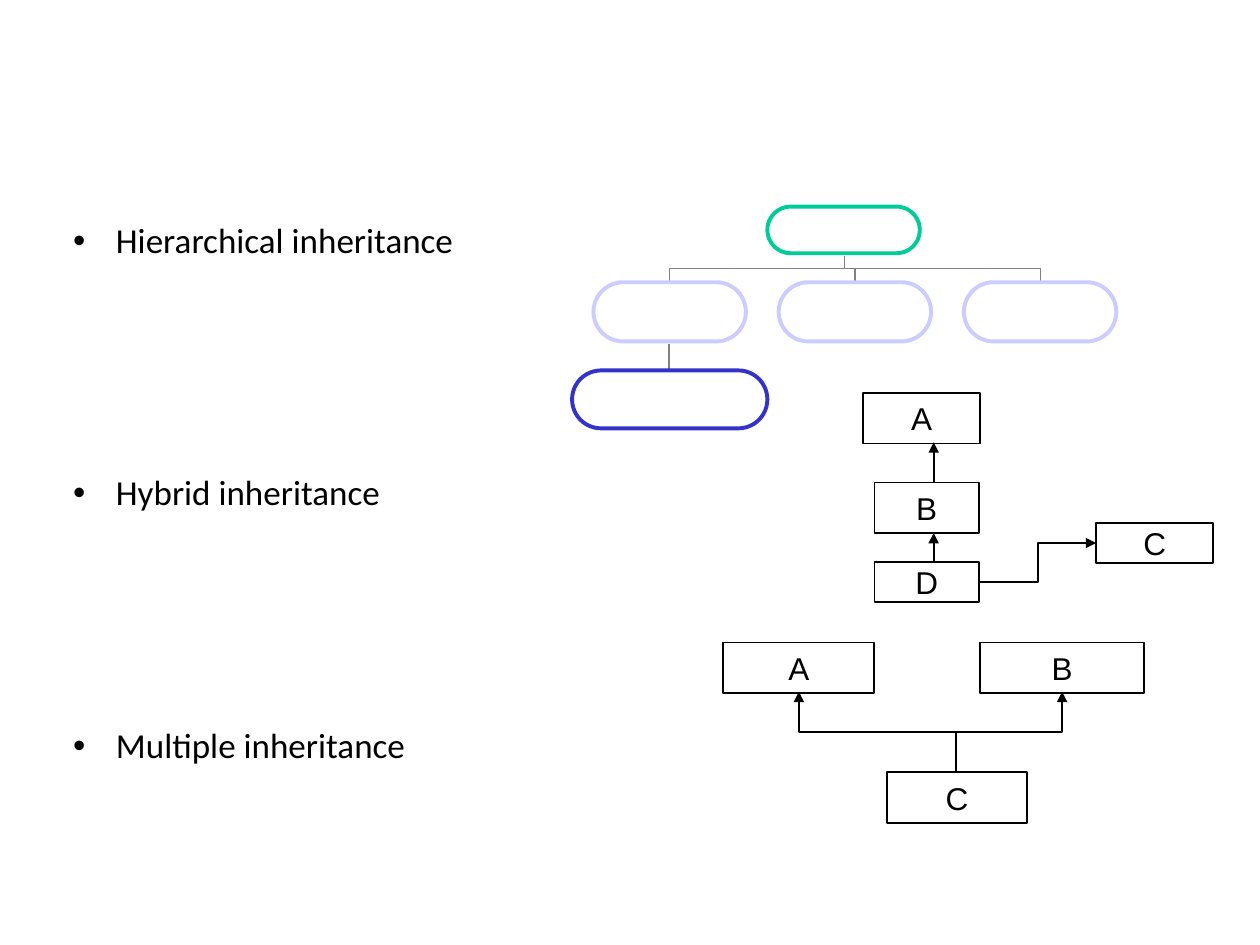
from dataclasses import dataclass

from lxml.etree import SubElement
from pptx import Presentation
from pptx.dml.color import RGBColor
from pptx.enum.shapes import MSO_CONNECTOR, MSO_SHAPE
from pptx.enum.text import MSO_ANCHOR, PP_ALIGN
from pptx.oxml.ns import qn
from pptx.util import Inches, Pt

COLORS = {
    "black": "000000", "white": "FFFFFF", "gray": "808080",
    "green": "00CC99", "lilac": "CCCCFF", "blue": "3333CC",
}


@dataclass
class Box:
    left: float
    top: float
    width: float
    height: float
    label: str = ""
    line: str = "black"


@dataclass
class Link:
    x1: float
    y1: float
    x2: float
    y2: float
    kind: str = "straight"  # straight, side (leaves sideways) or rise (leaves upward)
    color: str = "black"
    weight: float = 1
    arrow: bool = True


def paint(name: str) -> RGBColor:
    return RGBColor.from_string(COLORS[name])


def write(para, text: str, *, font: str, size: float, color: str = "black",
          align=PP_ALIGN.LEFT) -> None:
    para.alignment = align
    run = para.add_run()
    run.text = text
    run.font.name = font
    run.font.size = Pt(size)
    run.font.color.rgb = paint(color)


def draw_box(slide, box: Box, pill: bool = False) -> None:
    kind = MSO_SHAPE.ROUNDED_RECTANGLE if pill else MSO_SHAPE.RECTANGLE
    shape = slide.shapes.add_shape(kind, Inches(box.left), Inches(box.top),
                                   Inches(box.width), Inches(box.height))
    shape.shadow.inherit = False
    shape.line.color.rgb = paint(box.line)
    shape.line.width = Pt(2.25 if pill else 1)
    if pill:
        shape.adjustments[0] = 0.5
        shape.fill.background()
        return
    shape.fill.solid()
    shape.fill.fore_color.rgb = paint("white")
    frame = shape.text_frame
    frame.word_wrap = False
    frame.vertical_anchor = MSO_ANCHOR.MIDDLE
    write(frame.paragraphs[0], box.label, font="Arial", size=18, align=PP_ALIGN.CENTER)


def draw_link(slide, link: Link) -> None:
    x1, y1, x2, y2 = link.x1, link.y1, link.x2, link.y2
    turn = 0
    if link.kind == "rise":
        # An elbow runs sideways, so lay it flat around its centre and turn it
        mid_x, mid_y = (x1 + x2) / 2, (y1 + y2) / 2
        half_w, half_h = (y1 - y2) / 2, abs(x2 - x1) / 2
        side = 1 if x2 > x1 else -1
        turn = 90 if x2 > x1 else 270
        x1, x2 = mid_x + side * half_w, mid_x - side * half_w
        y1, y2 = mid_y + half_h, mid_y - half_h
    kind = MSO_CONNECTOR.STRAIGHT if link.kind == "straight" else MSO_CONNECTOR.ELBOW
    wire = slide.shapes.add_connector(kind, Inches(x1), Inches(y1), Inches(x2), Inches(y2))
    wire.line.color.rgb = paint(link.color)
    wire.line.width = Pt(link.weight)
    props = wire._element.spPr
    if turn:
        props.find(qn("a:xfrm")).set("rot", str(turn * 60000))
    if link.arrow:
        SubElement(props.find(qn("a:ln")), qn("a:tailEnd"), type="triangle")
    SubElement(props, qn("a:effectLst"))


def draw_list(slide, items: list[str]) -> None:
    body = slide.shapes.add_textbox(Inches(0.58), Inches(1.58), Inches(4.32), Inches(5.33))
    frame = body.text_frame
    frame.word_wrap = True
    frame.margin_left = frame.margin_right = frame.margin_bottom = 0
    frame.margin_top = Inches(0.17)
    for i, item in enumerate(items):
        para = frame.paragraphs[0] if i == 0 else frame.add_paragraph()
        para.line_spacing = 0.97
        para.space_before = Pt(121 if i else 0)
        write(para, item, font="Calibri", size=20)
        props = para._p.get_or_add_pPr()
        props.set("marL", str(Inches(0.34)))
        props.set("indent", str(-Inches(0.34)))
        SubElement(props, qn("a:buFont"), typeface="Arial")
        SubElement(props, qn("a:buChar"), char="•")


def main() -> None:
    deck = Presentation()
    deck.slide_width, deck.slide_height = Inches(10), Inches(7.5)
    slide = deck.slides.add_slide(deck.slide_layouts[6])

    draw_list(slide, ["Hierarchical inheritance", "Hybrid inheritance",
                      "Multiple inheritance"])

    # Hierarchical: one root, a row of three, one leaf
    root = Box(6.09, 1.64, 1.21, 0.37, line="green")
    row = [Box(4.71 + 1.47 * i, 2.24, 1.21, 0.47, line="lilac") for i in range(3)]
    leaf = Box(4.54, 2.94, 1.55, 0.46, line="blue")
    gray = dict(color="gray", weight=0.75, arrow=False)
    draw_link(slide, Link(5.31, 2.93, 5.31, 2.73, **gray))
    for kid in row:
        draw_link(slide, Link(kid.left + kid.width / 2, 2.23, 6.7, 2.03, "rise", **gray))
    for pill in [root, *row, leaf]:
        draw_box(slide, pill, pill=True)

    boxes = [
        # Multiple
        Box(5.74, 5.1, 1.2, 0.4, "A"),
        Box(7.78, 5.1, 1.3, 0.4, "B"),
        Box(7.04, 6.13, 1.11, 0.4, "C"),
        # Hybrid
        Box(6.85, 3.12, 0.93, 0.4, "A"),
        Box(6.94, 3.83, 0.83, 0.4, "B"),
        Box(6.94, 4.46, 0.83, 0.32, "D"),
        Box(8.7, 4.15, 0.93, 0.32, "C"),
    ]
    links = [
        Link(7.59, 6.13, 6.34, 5.49, "rise"),
        Link(7.59, 6.13, 8.43, 5.49, "rise"),
        Link(7.41, 3.83, 7.41, 3.51),
        Link(7.41, 4.46, 7.41, 4.23),
        Link(7.78, 4.62, 8.7, 4.31, "side"),
    ]
    for box in boxes:
        draw_box(slide, box)
    for link in links:
        draw_link(slide, link)

    deck.save("out.pptx")


if __name__ == "__main__":
    main()
